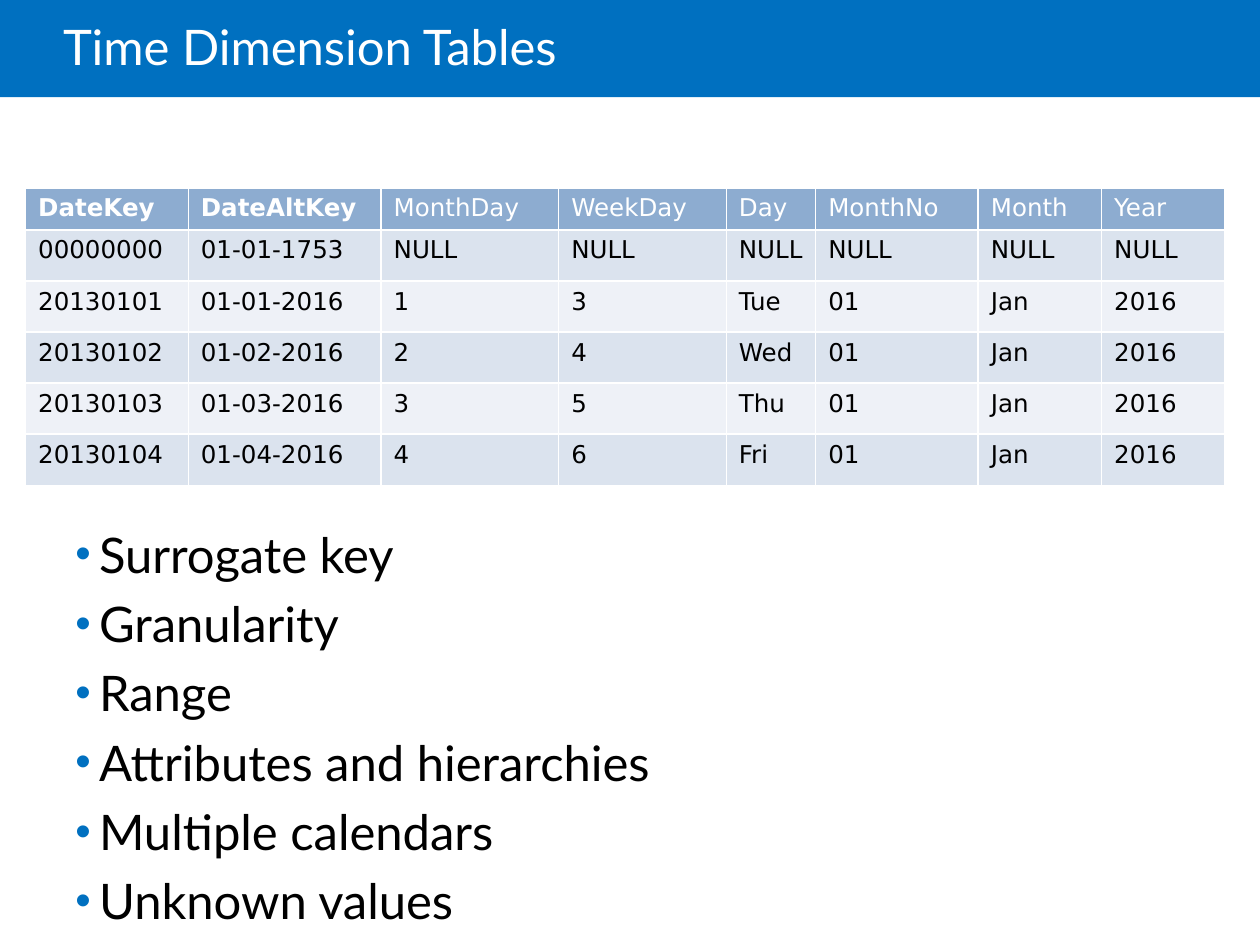
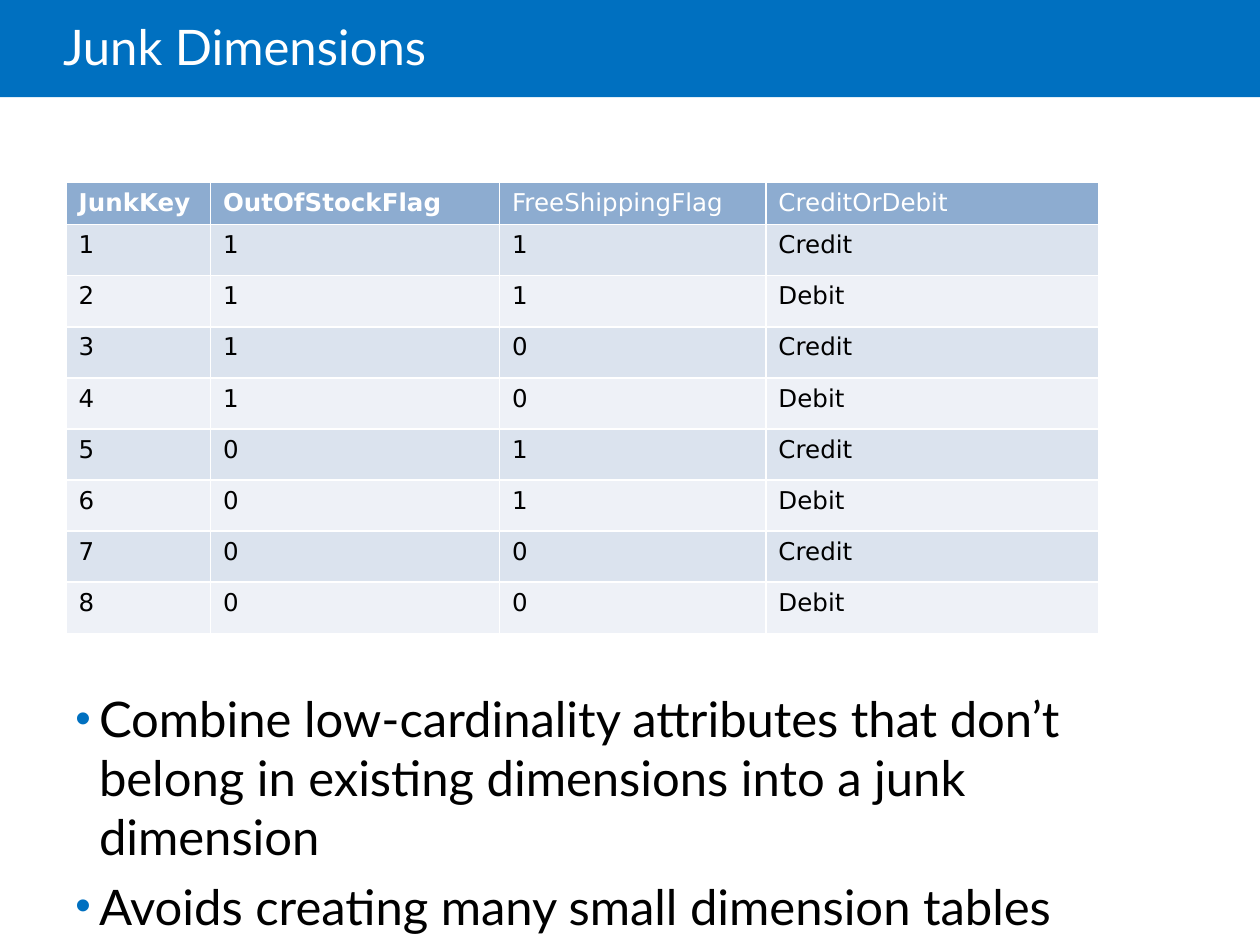
from dataclasses import dataclass

from lxml.etree import SubElement
from pptx import Presentation
from pptx.dml.color import RGBColor
from pptx.enum.shapes import MSO_SHAPE as Shape
from pptx.enum.text import MSO_ANCHOR as Anchor, PP_ALIGN as Align
from pptx.oxml.ns import qn
from pptx.util import Pt


@dataclass(frozen=True)
class Theme:
    accent: str = "0070C0"
    white: str = "FFFFFF"
    black: str = "000000"
    header: str = "8DACD0"
    bands: tuple[str, str] = ("DBE3EE", "EEF1F7")
    text_font: str = "Lato"
    table_font: str = "DejaVu Sans"
    text_size: float = 28
    table_size: float = 14


@dataclass(frozen=True)
class Box:
    left: float
    top: float
    width: float
    height: float

    def lengths(self) -> tuple[Pt, Pt, Pt, Pt]:
        return Pt(self.left), Pt(self.top), Pt(self.width), Pt(self.height)


@dataclass(frozen=True)
class Grid:
    left: float
    top: float
    widths: list[float]
    header: list[str]
    rows: list[list[str]]


@dataclass(frozen=True)
class TableSlide:
    title: str
    grid: Grid
    bullet_box: Box
    bullets: list[str]


THEME = Theme()
SLIDE_W, SLIDE_H = 720, 540
BAND = Box(0, 0, SLIDE_W, 55.5)
TITLE = Box(36, 0, 612, 58.3)
HEADER_H, ROW_H = 23.5, 29.2
BOLD_COLUMNS = 2
BULLET_INDENT = 13.5


def add_run(p, text: str, font: str, size: float, color: str, bold: bool = False) -> None:
    r = p.add_run()
    r.text = text
    r.font.name, r.font.size, r.font.bold = font, Pt(size), bold
    r.font.color.rgb = RGBColor.from_string(color)


def add_band(slide) -> None:
    """Draw the title band and keep it behind everything on the shared layout."""
    sp = slide.shapes.add_shape(Shape.RECTANGLE, *BAND.lengths())
    sp.shadow.inherit = False
    sp.fill.solid()
    sp.fill.fore_color.rgb = RGBColor.from_string(THEME.accent)
    sp.line.fill.background()
    slide.slide_layout.shapes.element.insert(2, sp.element)


def set_title(slide, text: str) -> None:
    sp = slide.shapes.title
    sp.left, sp.top, sp.width, sp.height = TITLE.lengths()
    tf = sp.text_frame
    tf.margin_left, tf.margin_right = Pt(0), Pt(7.2)
    tf.margin_top = tf.margin_bottom = Pt(3.6)
    tf.vertical_anchor = Anchor.MIDDLE
    p = tf.paragraphs[0]
    p.alignment, p.line_spacing = Align.LEFT, 0.85
    add_run(p, text, THEME.text_font, THEME.text_size, THEME.white)


def add_bullets(slide, box: Box, items: list[str]) -> None:
    tf = slide.shapes.add_textbox(*box.lengths()).text_frame
    tf.word_wrap = True
    for i, item in enumerate(items):
        p = tf.add_paragraph() if i else tf.paragraphs[0]
        p.space_before = Pt(6)
        pPr = p._p.get_or_add_pPr()
        pPr.set("marL", str(Pt(BULLET_INDENT)))
        pPr.set("indent", str(-Pt(BULLET_INDENT)))
        color = SubElement(pPr, qn("a:buClr"))
        SubElement(color, qn("a:srgbClr"), val=THEME.accent)
        SubElement(pPr, qn("a:buSzPct"), val="90000")
        SubElement(pPr, qn("a:buFont"), typeface="Arial")
        SubElement(pPr, qn("a:buChar"), char="•")
        add_run(p, item, THEME.text_font, THEME.text_size, THEME.black)


def set_borders(cell) -> None:
    tcPr = cell._tc.get_or_add_tcPr()
    for i, side in enumerate(("lnL", "lnR", "lnT", "lnB")):
        ln = SubElement(tcPr, qn(f"a:{side}"), w=str(Pt(1)))
        fill = SubElement(ln, qn("a:solidFill"))
        SubElement(fill, qn("a:srgbClr"), val=THEME.white)
        tcPr.insert(i, ln)  # borders come before the cell fill


def add_grid(slide, grid: Grid) -> None:
    lines = [grid.header, *grid.rows]
    box = Box(grid.left, grid.top, sum(grid.widths), HEADER_H + ROW_H * len(grid.rows))
    table = slide.shapes.add_table(len(lines), len(grid.widths), *box.lengths()).table
    for column, width in zip(table.columns, grid.widths):
        column.width = Pt(width)
    for i, line in enumerate(lines):
        is_header = i == 0
        table.rows[i].height = Pt(HEADER_H if is_header else ROW_H)
        fill = THEME.header if is_header else THEME.bands[(i - 1) % 2]
        color = THEME.white if is_header else THEME.black
        for j, text in enumerate(line):
            cell = table.cell(i, j)
            cell.fill.solid()
            cell.fill.fore_color.rgb = RGBColor.from_string(fill)
            set_borders(cell)
            add_run(cell.text_frame.paragraphs[0], text, THEME.table_font,
                    THEME.table_size, color, is_header and j < BOLD_COLUMNS)


# Date rows: one for unknown values, then consecutive days
date_rows = [["00000000", "01-01-1753"] + ["NULL"] * 6] + [
    [f"2013010{day}", f"01-0{day}-2016", str(day), str(day + 2), name, "01", "Jan", "2016"]
    for day, name in enumerate(("Tue", "Wed", "Thu", "Fri"), 1)
]

# Junk rows: every combination of the three attributes
junk_combinations = [
    [stock, shipping, payment]
    for stock in "10" for shipping in "10" for payment in ("Credit", "Debit")
]
junk_rows = [[str(key), *values] for key, values in enumerate(junk_combinations, 1)]

SLIDES = [
    TableSlide(
        "Time Dimension Tables",
        Grid(14.6, 107.3, [93, 110.2, 101.5, 95.8, 51.1, 92.9, 70.5, 70.5],
             ["DateKey", "DateAltKey", "MonthDay", "WeekDay", "Day", "MonthNo",
              "Month", "Year"], date_rows),
        Box(36, 296, 639.4, 142.6),
        ["Surrogate key", "Granularity", "Range", "Attributes and hierarchies",
         "Multiple calendars", "Unknown values"],
    ),
    TableSlide(
        "Junk Dimensions",
        Grid(37.8, 104.3, [82.5, 165.2, 152.2, 190.1],
             ["JunkKey", "OutOfStockFlag", "FreeShippingFlag", "CreditOrDebit"], junk_rows),
        Box(36, 390.2, 639.4, 139.7),
        ["Combine low-cardinality attributes that don’t belong in existing dimensions "
         "into a junk dimension", "Avoids creating many small dimension tables"],
    ),
]


def main() -> None:
    prs = Presentation()
    prs.slide_width, prs.slide_height = Pt(SLIDE_W), Pt(SLIDE_H)
    layout = prs.slide_layouts.get_by_name("Title Only")
    for i, content in enumerate(SLIDES):
        slide = prs.slides.add_slide(layout)
        if i == 0:
            add_band(slide)
        set_title(slide, content.title)
        add_bullets(slide, content.bullet_box, content.bullets)
        add_grid(slide, content.grid)
    prs.save("out.pptx")


if __name__ == "__main__":
    main()
